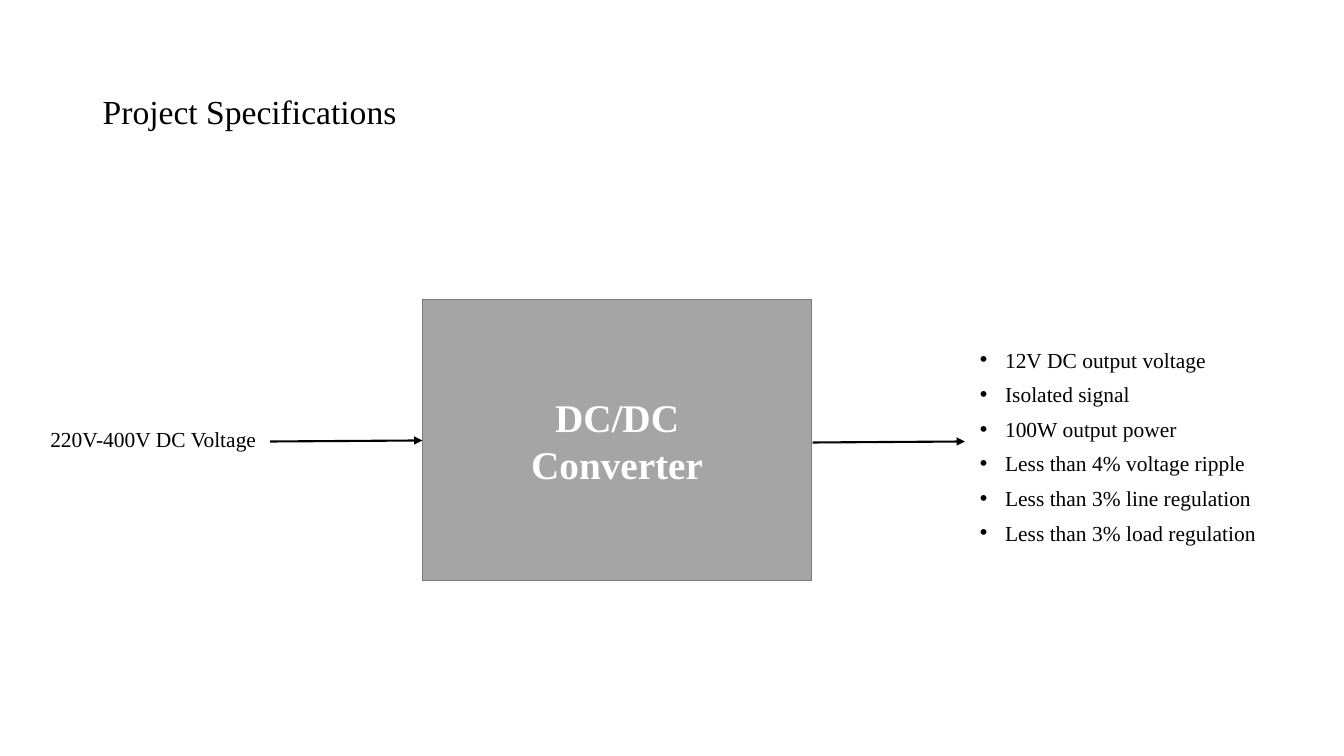
from dataclasses import dataclass
from lxml.etree import SubElement
from pptx import Presentation
from pptx.dml.color import RGBColor
from pptx.enum.shapes import MSO_CONNECTOR as Link, MSO_SHAPE as Form
from pptx.enum.text import MSO_ANCHOR as Anchor, PP_ALIGN as Align
from pptx.oxml.ns import qn
from pptx.slide import Slide
from pptx.text.text import TextFrame
from pptx.util import Inches, Pt

BLACK = RGBColor(0x00, 0x00, 0x00)
WHITE = RGBColor(0xFF, 0xFF, 0xFF)
GRAY = RGBColor(0xA5, 0xA5, 0xA5)
EDGE = RGBColor(0x7A, 0x7A, 0x7A)
FONT = "Times New Roman"
INDENT = Inches(0.25)


@dataclass
class Label:
    left: float
    top: float
    width: float
    height: float
    lines: list[str]
    size: float = 15.3
    pitch: float = 0.8
    before: float = 10
    anchor: Anchor = Anchor.TOP
    listed: bool = False


@dataclass
class Arrow:
    left: float
    start: float
    right: float
    end: float


LABELS = [
    Label(0.92, 0.4, 11.5, 1.45, ["Project Specifications"], 24, 0.9, 0, Anchor.MIDDLE),
    Label(0.4, 4.23, 2.45, 0.49, ["220V-400V DC Voltage"]),
    Label(9.62, 3.44, 3.13, 2.58, [
        "12V DC output voltage",
        "Isolated signal",
        "100W output power",
        "Less than 4% voltage ripple",
        "Less than 3% line regulation",
        "Less than 3% load regulation",
    ], listed=True),
]
ARROWS = [Arrow(2.68, 4.38, 4.19, 4.37), Arrow(8.06, 4.39, 9.57, 4.38)]


def write(frame: TextFrame, lines: list[str], size: float, color: RGBColor, bold: bool = False) -> None:
    frame.word_wrap = True
    frame.text = "\n".join(lines)
    for par in frame.paragraphs:
        for run in par.runs:
            font = run.font
            font.name, font.size, font.bold = FONT, Pt(size), bold
            font.color.rgb = color


def add_label(slide: Slide, label: Label) -> None:
    box = slide.shapes.add_textbox(
        Inches(label.left), Inches(label.top), Inches(label.width), Inches(label.height))
    frame = box.text_frame
    write(frame, label.lines, label.size, BLACK)
    frame.vertical_anchor = label.anchor
    for par in frame.paragraphs:
        par.line_spacing = label.pitch
        par.space_before = Pt(label.before)
        if label.listed:
            props = par._p.get_or_add_pPr()
            props.set("marL", str(INDENT))
            props.set("indent", str(-INDENT))
            SubElement(props, qn("a:buFont"), typeface="Arial")
            SubElement(props, qn("a:buChar"), char="•")


def add_block(slide: Slide) -> None:
    block = slide.shapes.add_shape(
        Form.RECTANGLE, Inches(4.19), Inches(2.97), Inches(3.86), Inches(2.79))
    block.shadow.inherit = False
    block.fill.solid()
    block.fill.fore_color.rgb = GRAY
    block.line.color.rgb = EDGE
    block.line.width = Pt(1)
    frame = block.text_frame
    write(frame, ["DC/DC", "Converter"], 28, WHITE, True)
    frame.vertical_anchor = Anchor.MIDDLE
    for par in frame.paragraphs:
        par.alignment = Align.CENTER


def add_arrow(slide: Slide, arrow: Arrow) -> None:
    wire = slide.shapes.add_connector(
        Link.STRAIGHT, Inches(arrow.left), Inches(arrow.start),
        Inches(arrow.right), Inches(arrow.end))
    wire.line.color.rgb = BLACK
    wire.line.width = Pt(1.5)
    SubElement(wire.line._get_or_add_ln(), qn("a:tailEnd"), type="triangle")
    SubElement(wire._element.spPr, qn("a:effectLst"))


def main() -> None:
    deck = Presentation()
    deck.slide_width, deck.slide_height = Inches(13.33), Inches(7.5)
    slide = deck.slides.add_slide(deck.slide_layouts[6])
    for label in LABELS:
        add_label(slide, label)
    add_block(slide)
    for arrow in ARROWS:
        add_arrow(slide, arrow)
    deck.save("out.pptx")


if __name__ == "__main__":
    main()
